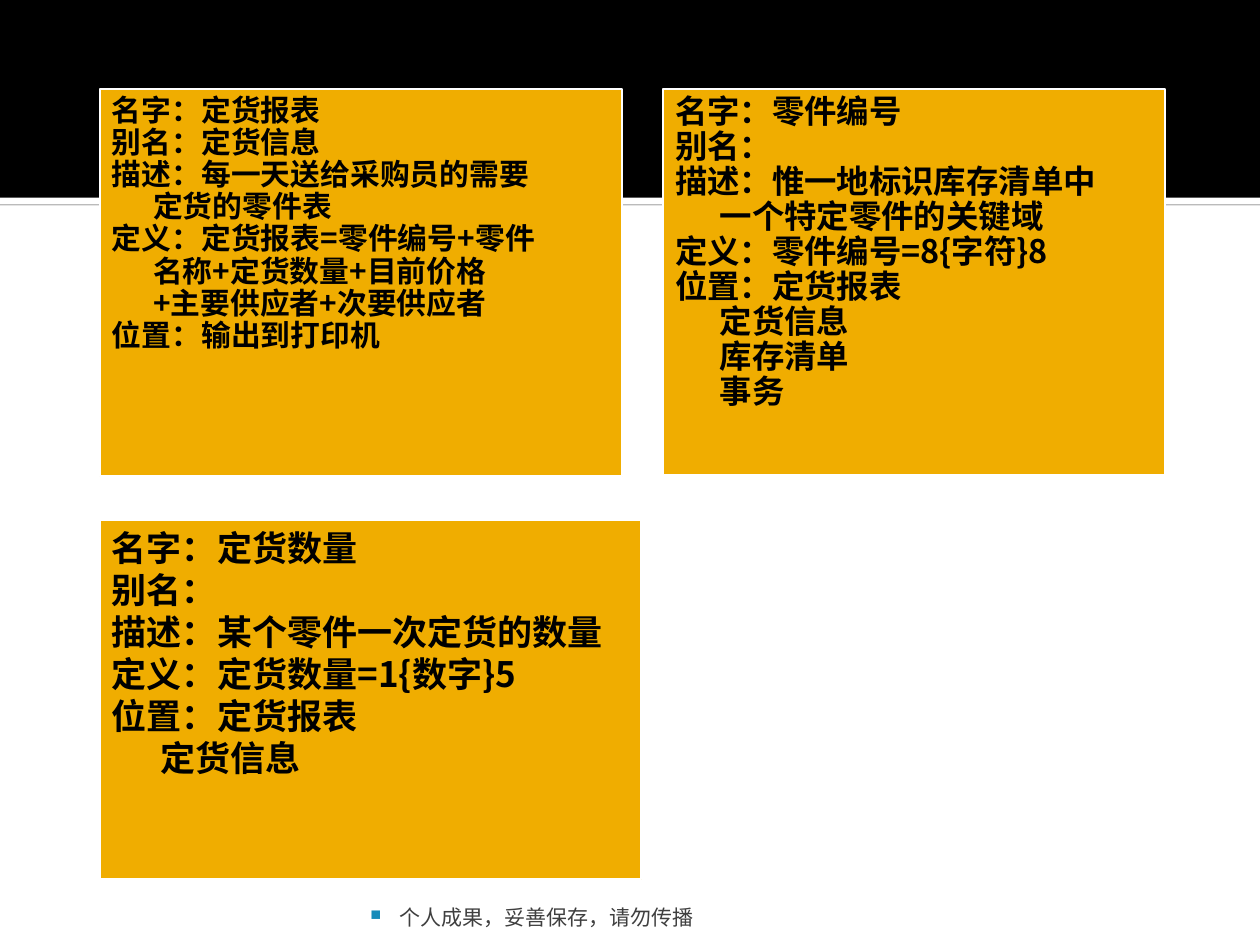
from dataclasses import dataclass

from lxml import etree
from pptx import Presentation, util as u
from pptx.dml.color import RGBColor
from pptx.enum import shapes, text
from pptx.oxml import ns

W, H = 10, 7.5
CJK, LATIN = "Noto Sans CJK SC", "Karla"
HANG = 1.38  # indent of continued lines, in ems


@dataclass
class Card:
    left: float
    top: float
    width: float
    height: float
    size: float
    spacing: float
    lines: list[tuple[int, str]]  # (indent level, wording)


def rgb(value: str) -> RGBColor:
    return RGBColor.from_string(value)


def sub(parent, tag: str, **attrs: str):
    return etree.SubElement(parent, ns.qn(tag), attrs)


def add_rect(s, left: float, top: float, width: float, height: float, fill: str):
    sp = s.shapes.add_shape(shapes.MSO_SHAPE.RECTANGLE, u.Inches(left), u.Inches(top),
                            u.Inches(width), u.Inches(height))
    sp.shadow.inherit = False
    sp.fill.solid()
    sp.fill.fore_color.rgb = rgb(fill)
    sp.line.fill.background()
    return sp


def set_insets(tf, left: float, top: float, right: float, bottom: float) -> None:
    tf.word_wrap = True
    tf.margin_left, tf.margin_top = u.Inches(left), u.Inches(top)
    tf.margin_right, tf.margin_bottom = u.Inches(right), u.Inches(bottom)


def set_font(p, name: str, size: float, color: str, bold: bool = False) -> None:
    font = p.font
    font.name, font.size, font.bold = name, u.Pt(size), bold
    font.color.rgb = rgb(color)
    p._p.pPr.find(ns.qn("a:defRPr")).find(ns.qn("a:latin")).addnext(
        etree.Element(ns.qn("a:ea"), typeface=CJK))


def add_card(s, card: Card) -> None:
    sp = add_rect(s, card.left, card.top, card.width, card.height, "F0AD00")
    sp.line.color.rgb = rgb("FFFFFF")
    sp.line.width = u.Pt(1.16)
    tf = sp.text_frame
    set_insets(tf, 0.1, 0.05, 0.1, 0.05)
    tf.vertical_anchor = text.MSO_ANCHOR.TOP
    for i, (level, line) in enumerate(card.lines):
        p = tf.paragraphs[0] if i == 0 else tf.add_paragraph()
        p.add_run().text = line
        p.alignment = text.PP_ALIGN.JUSTIFY
        p.line_spacing = card.spacing
        p._p.get_or_add_pPr().set("marL", str(int(u.Pt(level * HANG * card.size))))
        set_font(p, CJK, card.size, "000000", True)


def add_header(s) -> None:
    strip = add_rect(s, 0, 1.57, W, 0.05, "FFFFFF")
    effects = strip._element.spPr.find(ns.qn("a:effectLst"))
    shadow = sub(effects, "a:outerShdw", blurRad="0", dist=str(int(u.Pt(0.8))),
                 dir="5400000", rotWithShape="0")
    sub(sub(shadow, "a:srgbClr", val="808080"), "a:alpha", val="60000")
    add_rect(s, 0, 0, W, 1.57, "000000")


def add_footer(s) -> None:
    box = s.shapes.add_textbox(u.Inches(2.89), u.Inches(7.08), u.Inches(6.02), u.Inches(0.3))
    tf = box.text_frame
    set_insets(tf, 0.05, 0.05, 0.05, 0)
    tf.vertical_anchor = text.MSO_ANCHOR.BOTTOM
    p = tf.paragraphs[0]
    p.add_run().text = "个人成果，妥善保存，请勿传播"
    p.line_spacing = 0.8
    # Square bullet with a hanging indent
    pPr = p._p.get_or_add_pPr()
    hang = int(u.Inches(0.23))
    pPr.set("marL", str(hang))
    pPr.set("indent", str(-hang))
    sub(sub(pPr, "a:buClr"), "a:srgbClr", val="168BBA")
    sub(pPr, "a:buSzPct", val="70000")
    sub(pPr, "a:buChar", char="■")
    set_font(p, LATIN, 12, "3F3F3F")


CARDS = [
    Card(0.79, 0.71, 4.15, 3.07, 17, 0.9, [
        (0, "名字：定货报表"),
        (0, "别名：定货信息"),
        (0, "描述：每一天送给采购员的需要"),
        (1, "定货的零件表"),
        (0, "定义：定货报表=零件编号+零件"),
        (1, "名称+定货数量+目前价格"),
        (1, "+主要供应者+次要供应者"),
        (0, "位置：输出到打印机"),
    ]),
    Card(5.26, 0.71, 3.99, 3.06, 18.5, 0.9, [
        (0, "名字：零件编号"),
        (0, "别名："),
        (0, "描述：惟一地标识库存清单中"),
        (1, "一个特定零件的关键域"),
        (0, "定义：零件编号=8{字符}8"),
        (0, "位置：定货报表"),
        (1, "定货信息"),
        (1, "库存清单"),
        (1, "事务"),
    ]),
    Card(0.79, 4.13, 4.3, 2.85, 20, 1.0, [
        (0, "名字：定货数量"),
        (0, "别名："),
        (0, "描述：某个零件一次定货的数量"),
        (0, "定义：定货数量=1{数字}5"),
        (0, "位置：定货报表"),
        (1, "定货信息"),
    ]),
]


def main() -> None:
    prs = Presentation()
    prs.slide_width, prs.slide_height = u.Inches(W), u.Inches(H)
    s = prs.slides.add_slide(prs.slide_layouts[6])
    add_header(s)
    add_footer(s)
    # Data dictionary cards
    for card in CARDS:
        add_card(s, card)
    prs.save("out.pptx")


if __name__ == "__main__":
    main()
